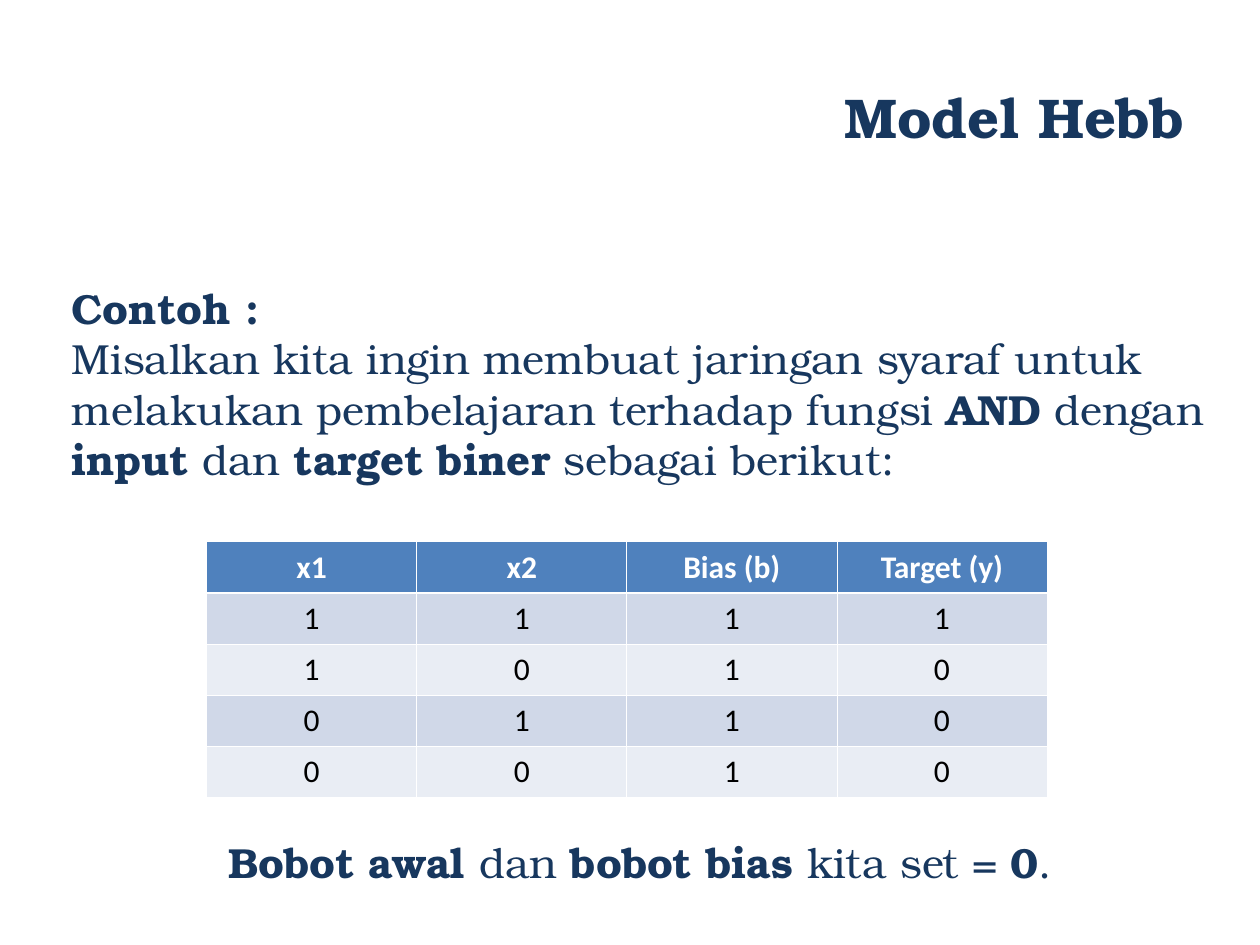
import lxml.etree
import pptx
import pptx.dml.color
import pptx.enum.text
import pptx.oxml.ns
import pptx.util

Inches = pptx.util.Inches
Pt = pptx.util.Pt
RGBColor = pptx.dml.color.RGBColor
Align = pptx.enum.text.PP_ALIGN
Anchor = pptx.enum.text.MSO_ANCHOR

NAVY = RGBColor(0x17, 0x37, 0x5E)
WHITE = RGBColor(0xFF, 0xFF, 0xFF)
BLACK = RGBColor(0x00, 0x00, 0x00)
HEADER_BLUE = RGBColor(0x4F, 0x81, 0xBD)
BAND_FILLS = (RGBColor(0xD0, 0xD8, 0xE8), RGBColor(0xE9, 0xED, 0xF4))

TITLE_FORMAT = {"name": "TeX Gyre Bonum", "size": Pt(32), "color": NAVY}
BODY_FORMAT = {"name": "TeX Gyre Bonum", "size": Pt(24), "color": NAVY}
HEADER_FORMAT = {"name": "Calibri", "size": Pt(18), "color": WHITE, "bold": True}
CELL_FORMAT = HEADER_FORMAT | {"color": BLACK, "bold": False}

# Each span is (text, bold).
HEADING = [("Contoh :", True)]
TASK = [
    ("Misalkan kita ingin membuat jaringan syaraf untuk melakukan "
     "pembelajaran terhadap fungsi ", False),
    ("AND", True),
    (" dengan ", False),
    ("input", True),
    (" dan ", False),
    ("target biner", True),
    (" sebagai berikut:", False),
]
INITIAL_WEIGHTS = [
    ("Bobot awal ", True),
    ("dan ", False),
    ("bobot bias ", True),
    ("kita set = ", False),
    ("0", True),
    (".", False),
]
TABLE_GAP = Pt(201.6)

TRUTH_TABLE = [
    ("x1", "x2", "Bias (b)", "Target (y)"),
    (1, 1, 1, 1),
    (1, 0, 1, 0),
    (0, 1, 1, 0),
    (0, 0, 1, 0),
]
THIN, THICK = Pt(0.45), Pt(1.47)


def place(box, left, top, width, height):
    box.left, box.top = Inches(left), Inches(top)
    box.width, box.height = Inches(width), Inches(height)


def format_font(font, values):
    for name, value in values.items():
        if name == "color":
            font.color.rgb = value
        else:
            setattr(font, name, value)


def fill_paragraph(para, spans, values, align, space_before=0):
    properties = para._p.get_or_add_pPr()
    properties.set("marL", "0")
    properties.set("indent", "0")
    lxml.etree.SubElement(properties, pptx.oxml.ns.qn("a:buNone"))
    para.alignment = align
    para.space_before = space_before
    for text, bold in spans:
        span = para.add_run()
        span.text = text
        format_font(span.font, values | {"bold": bold})


def set_frame(frame, anchor):
    frame.word_wrap = True
    frame.auto_size = pptx.enum.text.MSO_AUTO_SIZE.NONE
    frame.vertical_anchor = anchor


def add_title(slide):
    title = slide.shapes.title
    place(title, 0.5, 0.3, 9, 1.25)
    set_frame(title.text_frame, Anchor.MIDDLE)
    fill_paragraph(title.text_frame.paragraphs[0], [("Model Hebb", True)],
                   TITLE_FORMAT, Align.RIGHT)


def add_body(slide):
    """Fill the body, leaving a gap for the table before the last line."""
    body = slide.placeholders[1]
    place(body, 0.47, 2.19, 9.22, 4.9)
    frame = body.text_frame
    set_frame(frame, Anchor.TOP)
    fill_paragraph(frame.paragraphs[0], HEADING, BODY_FORMAT, Align.LEFT)
    fill_paragraph(frame.add_paragraph(), TASK, BODY_FORMAT, Align.LEFT)
    fill_paragraph(frame.add_paragraph(), INITIAL_WEIGHTS, BODY_FORMAT,
                   Align.CENTER, TABLE_GAP)


def add_borders(cell, widths):
    """Add white borders; widths maps the sides L, R, T and B, in that order."""
    properties = cell._tc.get_or_add_tcPr()
    for side, width in widths.items():
        line = lxml.etree.SubElement(
            properties, pptx.oxml.ns.qn(f"a:ln{side}"), w=str(int(width)))
        fill = lxml.etree.SubElement(line, pptx.oxml.ns.qn("a:solidFill"))
        lxml.etree.SubElement(fill, pptx.oxml.ns.qn("a:srgbClr"), val=str(WHITE))


def fill_cell(cell, value, row):
    add_borders(cell, {
        "L": THIN,
        "R": THIN,
        "T": THICK if row == 1 else THIN,
        "B": THICK if row == 0 else THIN,
    })
    cell.fill.solid()
    cell.fill.fore_color.rgb = BAND_FILLS[(row - 1) % 2] if row else HEADER_BLUE
    para = cell.text_frame.paragraphs[0]
    para.alignment = Align.CENTER
    span = para.add_run()
    span.text = str(value)
    format_font(span.font, CELL_FORMAT if row else HEADER_FORMAT)


def add_truth_table(slide):
    table = slide.shapes.add_table(
        len(TRUTH_TABLE), len(TRUTH_TABLE[0]),
        Inches(1.64), Inches(4.3), Inches(6.67), Inches(2.03)).table
    for row, values in enumerate(TRUTH_TABLE):
        for column, value in enumerate(values):
            fill_cell(table.cell(row, column), value, row)


def main():
    deck = pptx.Presentation()
    deck.slide_width, deck.slide_height = Inches(10), Inches(7.5)
    slide = deck.slides.add_slide(deck.slide_layouts[1])
    add_title(slide)
    add_body(slide)
    add_truth_table(slide)
    deck.save("out.pptx")


if __name__ == "__main__":
    main()
